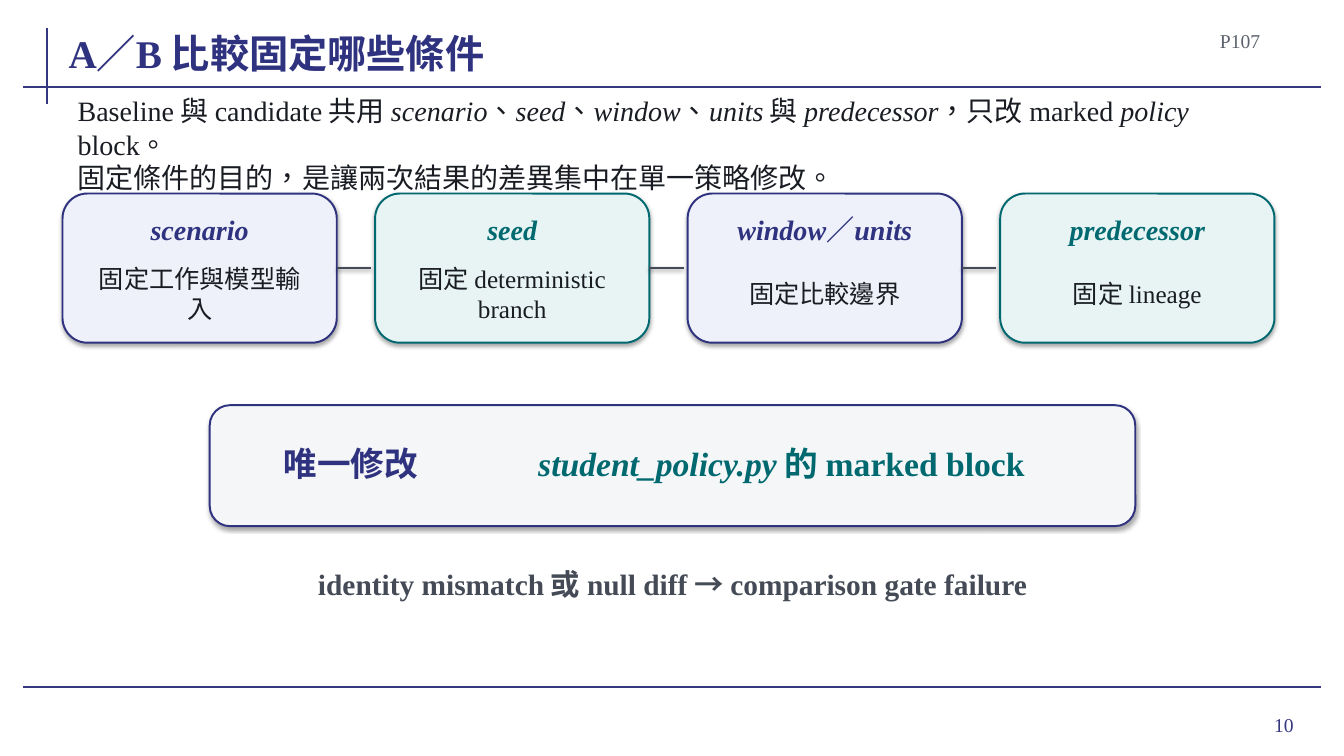
"""Build the slide on the conditions held fixed in an A／B comparison."""
import dataclasses

import lxml.etree
import pptx
import pptx.dml.color
import pptx.enum.shapes
import pptx.enum.text
import pptx.oxml.ns
import pptx.util

Inches = pptx.util.Inches
Pt = pptx.util.Pt
Align = pptx.enum.text.PP_ALIGN
Anchor = pptx.enum.text.MSO_ANCHOR
AutoSize = pptx.enum.text.MSO_AUTO_SIZE
qn = pptx.oxml.ns.qn

LATIN, CJK = "Times New Roman", "Noto Sans CJK SC"
NAVY, TEAL, INK, SLATE = "2F327F", "006970", "191C22", "444B56"
FRAME, MUTED = "35377F", "5C626C"
PALE_BLUE, PALE_TEAL, PALE_GREY = "EEF1F9", "E8F4F4", "F5F6F8"


@dataclasses.dataclass(frozen=True)
class Box:
    left: float
    top: float
    width: float
    height: float


@dataclasses.dataclass(frozen=True)
class Style:
    size: float
    color: str
    bold: bool = False
    align: Align = Align.CENTER
    anchor: Anchor = Anchor.MIDDLE
    inset: float = 0.04


@dataclasses.dataclass(frozen=True)
class Label:
    box: Box
    text: str
    style: Style


@dataclasses.dataclass(frozen=True)
class Card:
    heading: str
    detail: str
    color: str
    fill: str


@dataclasses.dataclass(frozen=True)
class Rule:
    start: tuple[float, float]
    end: tuple[float, float]


RULES = [
    Rule((0.47, 0.28), (0.47, 1.03)),
    Rule((0.23, 0.86), (13.1, 0.86)),
    Rule((0.23, 6.82), (13.1, 6.82)),
]
CARDS = [
    Card("*scenario", "固定工作與模型輸入", NAVY, PALE_BLUE),
    Card("*seed", "固定 |deterministic branch", TEAL, PALE_TEAL),
    Card("*window|／|*units", "固定比較邊界", NAVY, PALE_BLUE),
    Card("*predecessor", "固定 |lineage", TEAL, PALE_TEAL),
]
CARD_LEFT, CARD_TOP, CARD_WIDTH, CARD_HEIGHT, CARD_STEP = 0.62, 1.92, 2.72, 1.48, 3.1
LINK_LENGTH = 0.34
PANEL = Box(2.08, 4.02, 9.18, 1.2)
LEAD = (
    "Baseline| 與 |candidate| 共用 |*scenario|、|*seed|、|*window|、|*units| 與 "
    "|*predecessor|，只改 |marked |*policy |block|。|\n|"
    "固定條件的目的，是讓兩次結果的差異集中在單一策略修改。"
)
LABELS = [
    Label(Box(11.96, 6.93, 0.97, 0.52), "10", Style(14, FRAME, align=Align.RIGHT, inset=0.1)),
    Label(Box(11.72, 0.27, 0.82, 0.26), "P107", Style(14, MUTED, align=Align.RIGHT)),
    Label(Box(0.76, 1.12, 11.78, 0.62), LEAD, Style(20, INK, align=Align.LEFT, inset=0.01)),
    Label(Box(2.34, 4.2, 2.28, 0.78), "唯一修改", Style(24, NAVY, True)),
    Label(Box(4.64, 4.2, 6.22, 0.78), "*student_policy.py| 的 |marked block", Style(24, TEAL, True)),
    Label(
        Box(1.36, 5.58, 10.62, 0.42),
        "identity mismatch| 或 |null diff| → |comparison gate failure",
        Style(21, SLATE, True, anchor=Anchor.TOP),
    ),
]


def rgb(value: str) -> pptx.dml.color.RGBColor:
    """Return the colour for a hex string."""
    return pptx.dml.color.RGBColor.from_string(value)


def inches(box: Box) -> list[int]:
    """Return the box as left, top, width and height lengths."""
    return [Inches(value) for value in dataclasses.astuple(box)]


def fill_text(text_frame, text: str, style: Style) -> None:
    """Write runs parted by bars, with a leading star for italics."""
    text_frame.vertical_anchor = style.anchor
    for side in ("left", "top", "right", "bottom"):
        setattr(text_frame, f"margin_{side}", Inches(style.inset))
    paragraph = text_frame.paragraphs[0]
    paragraph.alignment = style.align
    for part in text.split("|"):
        if part == "\n":
            paragraph.add_line_break()
            continue
        run = paragraph.add_run()
        run.text = part.removeprefix("*")
        run.font.name = LATIN if part.isascii() else CJK
        run.font.size = Pt(style.size)
        run.font.bold = style.bold
        run.font.italic = part.startswith("*")
        run.font.color.rgb = rgb(style.color)
        properties = run.font._element
        properties.set("lang", "en-US" if part.isascii() else "zh-TW")
        east_asian = lxml.etree.SubElement(properties, qn("a:ea"))
        east_asian.set("typeface", run.font.name)


def add_label(slide, label: Label) -> None:
    """Add a wrapped text box."""
    text_frame = slide.shapes.add_textbox(*inches(label.box)).text_frame
    text_frame.word_wrap = True
    text_frame.auto_size = AutoSize.SHAPE_TO_FIT_TEXT
    fill_text(text_frame, label.text, label.style)


def add_shadow(effects, opacity: int, distance: float) -> None:
    """Put a soft downward shadow in an effect list."""
    shadow = lxml.etree.SubElement(effects, qn("a:outerShdw"))
    shadow.set("blurRad", str(Pt(3.1)))
    shadow.set("dist", str(Pt(distance)))
    shadow.set("dir", "5400000")
    shadow.set("rotWithShape", "0")
    color = lxml.etree.SubElement(shadow, qn("a:srgbClr"), val="000000")
    lxml.etree.SubElement(color, qn("a:alpha"), val=str(opacity * 1000))


def add_panel(slide, box: Box, fill: str, line: str) -> None:
    """Add a rounded panel with a shadow."""
    shape = slide.shapes.add_shape(
        pptx.enum.shapes.MSO_SHAPE.ROUNDED_RECTANGLE, *inches(box)
    )
    shape.fill.solid()
    shape.fill.fore_color.rgb = rgb(fill)
    shape.line.color.rgb = rgb(line)
    shape.line.width = Pt(1.4)
    shape.shadow.inherit = False
    add_shadow(shape._element.spPr.find(qn("a:effectLst")), 35, 1.8)


def add_rule(slide, rule: Rule, color: str, shadowed: bool = False) -> None:
    """Add a straight line."""
    connector = slide.shapes.add_connector(
        pptx.enum.shapes.MSO_CONNECTOR.STRAIGHT,
        *[Inches(value) for value in rule.start + rule.end],
    )
    connector.line.color.rgb = rgb(color)
    connector.line.width = Pt(1.5)
    effects = lxml.etree.SubElement(connector._element.spPr, qn("a:effectLst"))
    if shadowed:
        add_shadow(effects, 38, 1.6)


def add_card(slide, card: Card, left: float) -> None:
    """Add a condition card with its heading and detail."""
    add_panel(slide, Box(left, CARD_TOP, CARD_WIDTH, CARD_HEIGHT), card.fill, card.color)
    text_left, text_width = left + 0.2, CARD_WIDTH - 0.4
    heading_box = Box(text_left, CARD_TOP + 0.16, text_width, 0.38)
    detail_box = Box(text_left, CARD_TOP + 0.64, text_width, 0.7)
    add_label(slide, Label(heading_box, card.heading, Style(20, card.color, True)))
    add_label(slide, Label(detail_box, card.detail, Style(18, INK)))


def add_title(slide) -> None:
    """Place and fill the title placeholder."""
    title = slide.shapes.title
    title.left, title.top, title.width, title.height = inches(Box(0.68, 0.18, 10.9, 0.58))
    title.text_frame.word_wrap = False
    title.text_frame.auto_size = AutoSize.NONE
    style = Style(28, NAVY, True, Align.LEFT, Anchor.BOTTOM, 0)
    fill_text(title.text_frame, "A|／|B| 比較固定哪些條件", style)


def main() -> None:
    """Build and save the presentation."""
    presentation = pptx.Presentation()
    presentation.slide_width, presentation.slide_height = Inches(13.33), Inches(7.5)
    slide = presentation.slides.add_slide(presentation.slide_layouts[5])
    for rule in RULES:
        add_rule(slide, rule, FRAME)
    add_title(slide)
    link_y = CARD_TOP + CARD_HEIGHT / 2
    for index, card in enumerate(CARDS):
        left = CARD_LEFT + index * CARD_STEP
        add_card(slide, card, left)
        if index < len(CARDS) - 1:
            right = left + CARD_WIDTH
            add_rule(slide, Rule((right, link_y), (right + LINK_LENGTH, link_y)), SLATE, True)
    add_panel(slide, PANEL, PALE_GREY, NAVY)
    for label in LABELS:
        add_label(slide, label)
    presentation.save("out.pptx")


if __name__ == "__main__":
    main()
